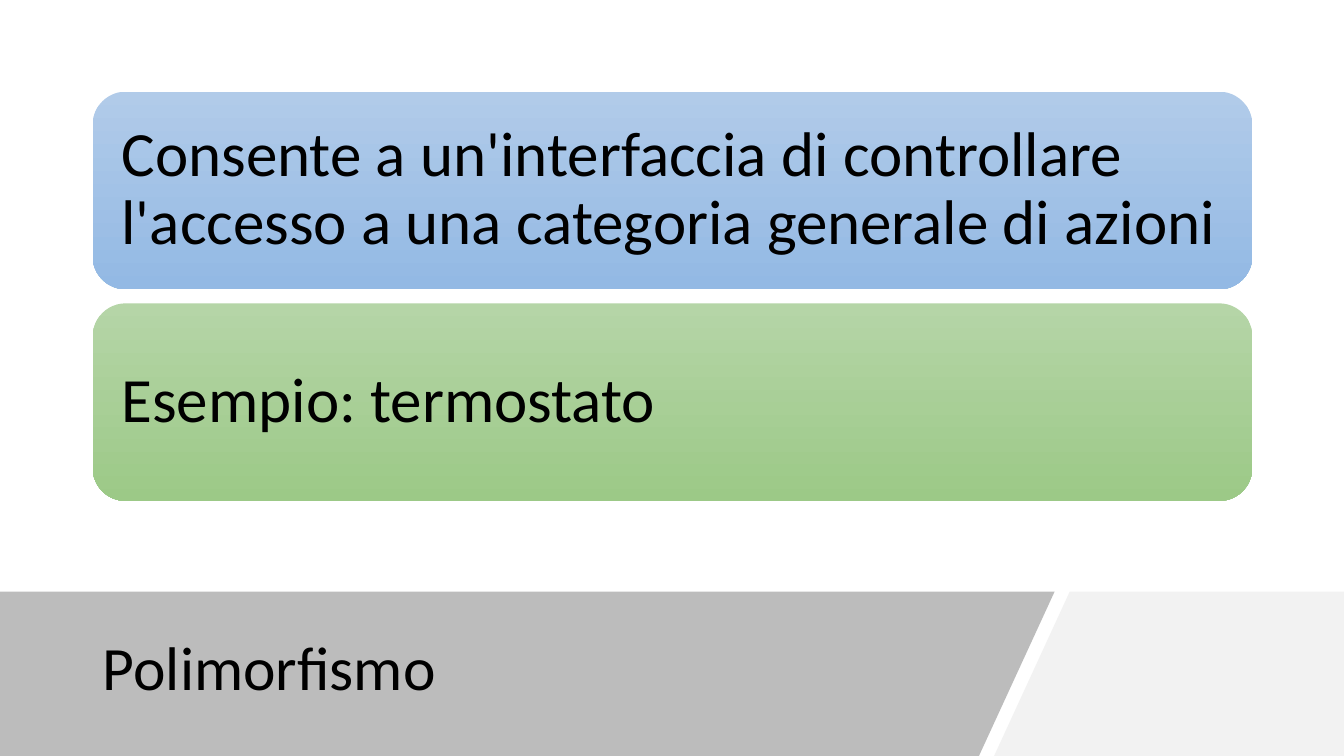
from lxml import etree
from pptx import Presentation
from pptx.dml.color import RGBColor
from pptx.enum.shapes import MSO_SHAPE
from pptx.enum.text import MSO_ANCHOR, PP_ALIGN
from pptx.oxml.ns import qn
from pptx.util import Inches, Pt

ROUNDED = MSO_SHAPE.ROUNDED_RECTANGLE
MIDDLE = MSO_ANCHOR.MIDDLE
LEFT = PP_ALIGN.LEFT

BLACK = RGBColor(0x00, 0x00, 0x00)
LIGHT_GRAY = RGBColor(0xF2, 0xF2, 0xF2)
DARK_GRAY = RGBColor(0x59, 0x59, 0x59)
BLUE_TOP = RGBColor(0xB1, 0xCB, 0xE9)
BLUE_BOTTOM = RGBColor(0x93, 0xB9, 0xE4)
GREEN_TOP = RGBColor(0xB5, 0xD5, 0xA7)
GREEN_BOTTOM = RGBColor(0x9C, 0xC9, 0x87)

TITLE = "Polimorfismo"
CARDS = [
    ("Consente a un'interfaccia di controllare l'accesso a una categoria generale di azioni",
     BLUE_TOP, BLUE_BOTTOM),
    ("Esempio: termostato", GREEN_TOP, GREEN_BOTTOM),
]

PAGE_WIDTH, PAGE_HEIGHT = 13.33, 7.5
BAND_TOP = 5.87
BANDS = [
    ([(10.61, BAND_TOP), (PAGE_WIDTH, BAND_TOP), (PAGE_WIDTH, PAGE_HEIGHT), (9.86, PAGE_HEIGHT)],
     LIGHT_GRAY, 100),
    ([(0, BAND_TOP), (10.46, BAND_TOP), (9.71, PAGE_HEIGHT), (0, PAGE_HEIGHT)],
     DARK_GRAY, 40),
]
MARGIN = 0.92
CARD_TOP, CARD_WIDTH, CARD_HEIGHT, CARD_GAP = 0.91, 11.5, 1.96, 0.14


def write(shape, text, size, inset):
    frame = shape.text_frame
    frame.word_wrap = True
    frame.vertical_anchor = MIDDLE
    frame.margin_left = frame.margin_right = Inches(inset)
    frame.margin_top = frame.margin_bottom = Inches(0.05)
    para = frame.paragraphs[0]
    para.alignment = LEFT
    para.line_spacing = 0.9
    span = para.add_run()
    span.text = text
    span.font.name = "Calibri"
    span.font.size = Pt(size)
    span.font.color.rgb = BLACK


def add_band(page, corners, color, opacity):
    points = [(Inches(x), Inches(y)) for x, y in corners]
    builder = page.shapes.build_freeform(*points[0])
    builder.add_line_segments(points[1:], close=True)
    band = builder.convert_to_shape()
    band.shadow.inherit = False
    band.line.fill.background()
    band.fill.solid()
    band.fill.fore_color.rgb = color
    if opacity < 100:
        tint = band._element.spPr.find(qn("a:solidFill"))[0]
        etree.SubElement(tint, qn("a:alpha"), val=str(opacity * 1000))


def add_card(page, row, text, top_color, bottom_color):
    top = CARD_TOP + row * (CARD_HEIGHT + CARD_GAP)
    card = page.shapes.add_shape(ROUNDED, Inches(MARGIN), Inches(top),
                                 Inches(CARD_WIDTH), Inches(CARD_HEIGHT))
    card.shadow.inherit = False
    card.line.fill.background()
    card.fill.gradient()
    card.fill.gradient_angle = 270
    for stop, position, color in zip(card.fill.gradient_stops, (0, 1), (top_color, bottom_color)):
        stop.position = position
        stop.color.rgb = color
    write(card, text, 45, 0.19)


def main():
    deck = Presentation()
    deck.slide_width, deck.slide_height = Inches(PAGE_WIDTH), Inches(PAGE_HEIGHT)
    page = deck.slides.add_slide(deck.slide_layouts[5])
    for band in BANDS:
        add_band(page, *band)

    title = page.shapes.title
    title.left, title.top = Inches(MARGIN), Inches(6.05)
    title.width, title.height = Inches(8.83), Inches(1.2)
    write(title, TITLE, 44, 0.1)
    page.shapes._spTree.append(title._element)

    for row, card in enumerate(CARDS):
        add_card(page, row, *card)
    deck.save("out.pptx")


if __name__ == "__main__":
    main()
